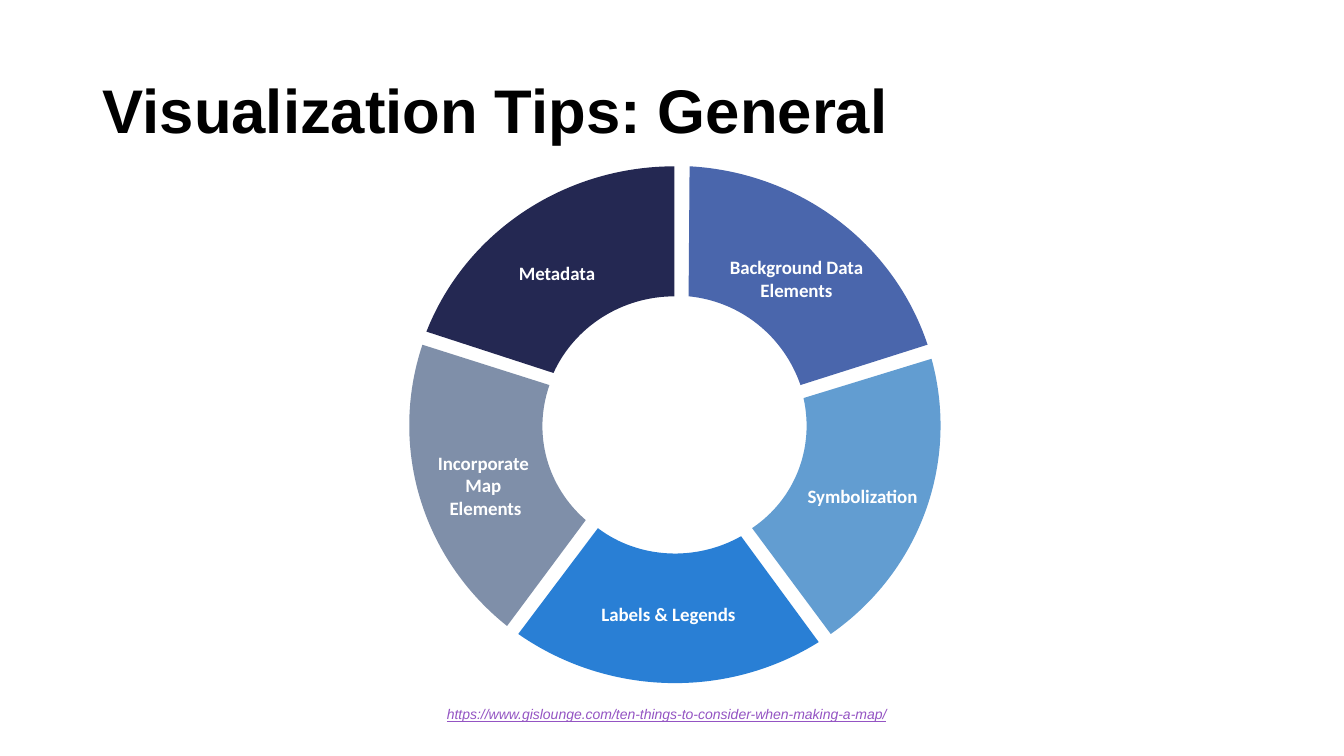
import pptx
import pptx.dml.color
import pptx.enum.text
import pptx.oxml
import pptx.oxml.ns
import pptx.util

Inches = pptx.util.Inches
qn = pptx.oxml.ns.qn
CENTER = pptx.enum.text.PP_ALIGN.CENTER
MIDDLE = pptx.enum.text.MSO_ANCHOR.MIDDLE

# label lines, fill, outer arc, inner arc, text insets (left, top, right, bottom)
SLICES = [
    (["Metadata"], "242852",
     [(2.84, 0), (1.75, 0), (0.77, 0.65), (0.38, 1.64)],
     [(1.64, 2.05), (1.85, 1.59), (2.32, 1.29), (2.84, 1.29)],
     (0.2, 0.1, 0.07, 0.04)),
    (["Incorporate ", "Map ", "Elements"], "7F8FA9",
     [(0.34, 1.77), (0, 2.79), (0.34, 3.89), (1.18, 4.56)],
     [(1.96, 3.51), (1.58, 3.18), (1.43, 2.66), (1.6, 2.17)],
     (0.07, 0.04, 0.1, 0.04)),
    (["Labels & Legends"], "297FD5",
     [(1.29, 4.64), (2.18, 5.26), (3.36, 5.29), (4.27, 4.72)],
     [(3.5, 3.67), (3.06, 3.92), (2.49, 3.9), (2.08, 3.59)],
     (0.07, 0.04, 0.07, 0.04)),
    (["Symbolization"], "629DD1",
     [(4.39, 4.64), (5.28, 4.02), (5.67, 2.93), (5.39, 1.91)],
     [(4.12, 2.3), (4.23, 2.79), (4.04, 3.3), (3.61, 3.59)],
     (0.2, 0.04, 0.07, 0.04)),
    (["Background Data Elements"], "4A66AC",
     [(5.35, 1.77), (5.01, 0.75), (4.07, 0.06), (2.99, 0)],
     [(2.98, 1.29), (3.49, 1.34), (3.92, 1.68), (4.09, 2.17)],
     (0.07, 0.1, 0.3, 0.04)),
]


def rgb(color):
    """Turn a hex string into a colour."""
    return pptx.dml.color.RGBColor.from_string(color)


def add_run(p, text, size, color, name="Arial", bold=False, italic=False, underline=False):
    """Append one formatted run to a paragraph."""
    r = p.add_run()
    r.text = text
    r.font.size = pptx.util.Pt(size)
    r.font.name = name
    r.font.color.rgb = rgb(color)
    r.font.bold, r.font.italic, r.font.underline = bold, italic, underline


def add_title(s, left, top, width, height):
    """Fill the title placeholder."""
    sp = s.shapes.title
    sp.left, sp.top, sp.width, sp.height = map(Inches, (left, top, width, height))
    tf = sp.text_frame
    tf.word_wrap = True
    tf.auto_size = pptx.enum.text.MSO_AUTO_SIZE.NONE
    tf.vertical_anchor = MIDDLE
    p = tf.paragraphs[0]
    p.alignment = pptx.enum.text.PP_ALIGN.LEFT
    p.line_spacing = 0.9
    add_run(p, "Visualization Tips: General", 44, "000000", bold=True)


def bend_arcs(sp):
    """Turn the outer and inner line triples of a slice into cubic curves."""
    outline = next(sp._element.iter(qn("a:path")))
    lines = outline.findall(qn("a:lnTo"))
    for arc in (lines[:3], lines[4:7]):
        cubic = pptx.oxml.parse_xml(
            '<a:cubicBezTo xmlns:a="http://schemas.openxmlformats.org/drawingml/2006/main"/>')
        arc[0].addprevious(cubic)
        for line in arc:
            cubic.append(line[0])
            outline.remove(line)


def add_slice(s, left, top, lines, fill, outer, inner, insets):
    """Draw one labelled ring slice."""
    points = [(Inches(left + x), Inches(top + y)) for x, y in outer + inner]
    builder = s.shapes.build_freeform(*points[0], scale=1.0)
    builder.add_line_segments(points[1:], close=True)
    sp = builder.convert_to_shape()
    bend_arcs(sp)
    sp.shadow.inherit = False
    sp.fill.solid()
    sp.fill.fore_color.rgb = rgb(fill)
    sp.line.fill.background()
    tf = sp.text_frame
    tf.word_wrap = True
    tf.vertical_anchor = MIDDLE
    tf.margin_left, tf.margin_top, tf.margin_right, tf.margin_bottom = map(Inches, insets)
    p = tf.paragraphs[0]
    p.alignment = CENTER
    for i, line in enumerate(lines):
        if i:
            p.add_line_break()
        add_run(p, line, 13.5, "FFFFFF", "Calibri", bold=True)


def add_ring(s, left, top):
    """Draw the ring of tips from its top left corner."""
    for tip in SLICES:
        add_slice(s, left, top, *tip)


def add_source(s, left, top, width, height):
    """Write the source address under the ring."""
    tf = s.shapes.add_textbox(*map(Inches, (left, top, width, height))).text_frame
    tf.word_wrap = True
    tf.auto_size = pptx.enum.text.MSO_AUTO_SIZE.SHAPE_TO_FIT_TEXT
    p = tf.paragraphs[0]
    p.alignment = CENTER
    add_run(p, "https://www.gislounge.com/ten-things-to-consider-when-making-a-map/",
            10, "9454C3", italic=True, underline=True)
    add_run(p, " ", 10, "000000", italic=True)


def main():
    """Build the slide and save it."""
    prs = pptx.Presentation()
    prs.slide_width, prs.slide_height = Inches(13.33), Inches(7.5)
    s = prs.slides.add_slide(prs.slide_layouts[5])
    add_title(s, 0.92, 0.4, 11.5, 1.45)
    add_ring(s, 3.85, 1.65)
    add_source(s, 4.13, 6.95, 5, 0.27)
    prs.save("out.pptx")


if __name__ == "__main__":
    main()
